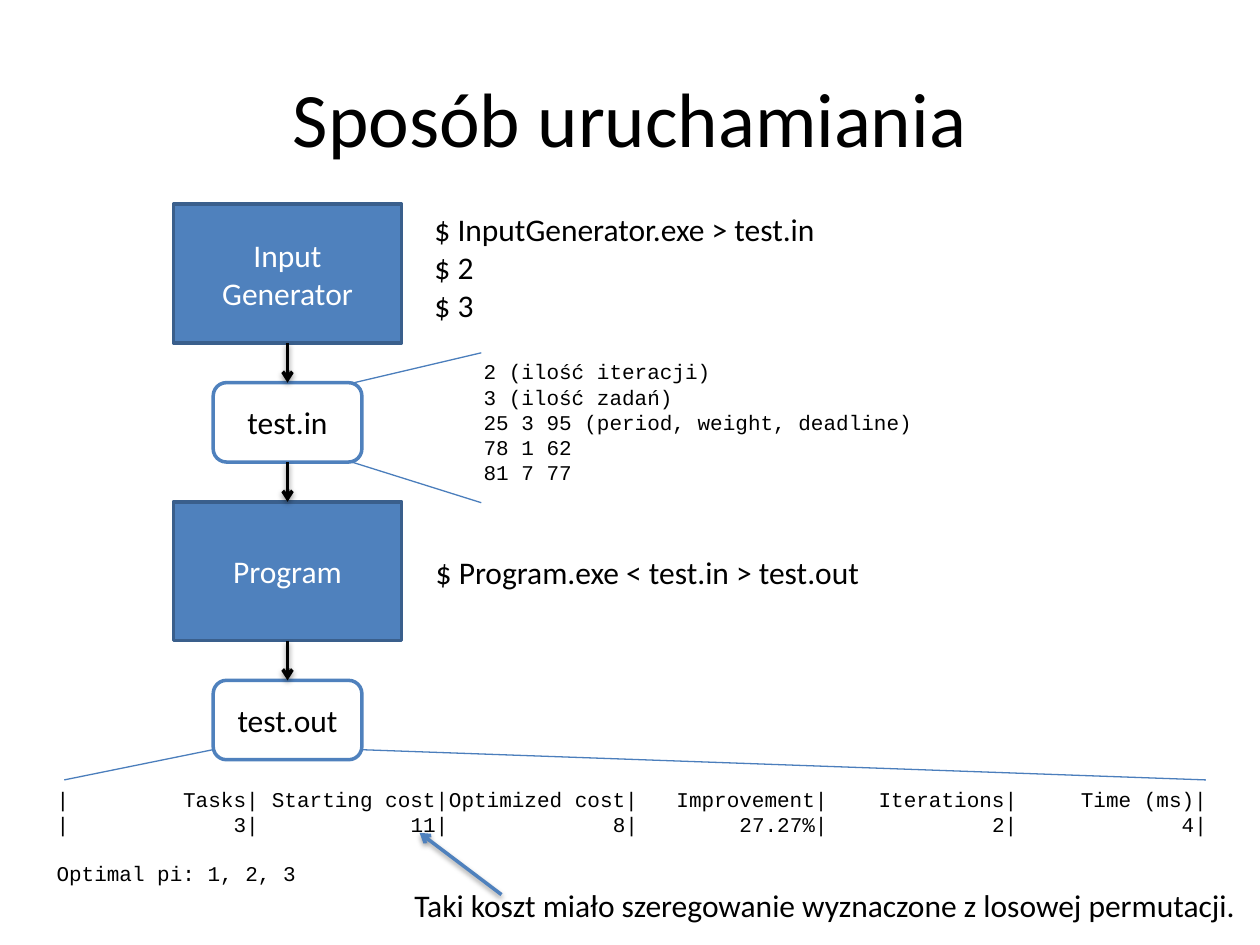
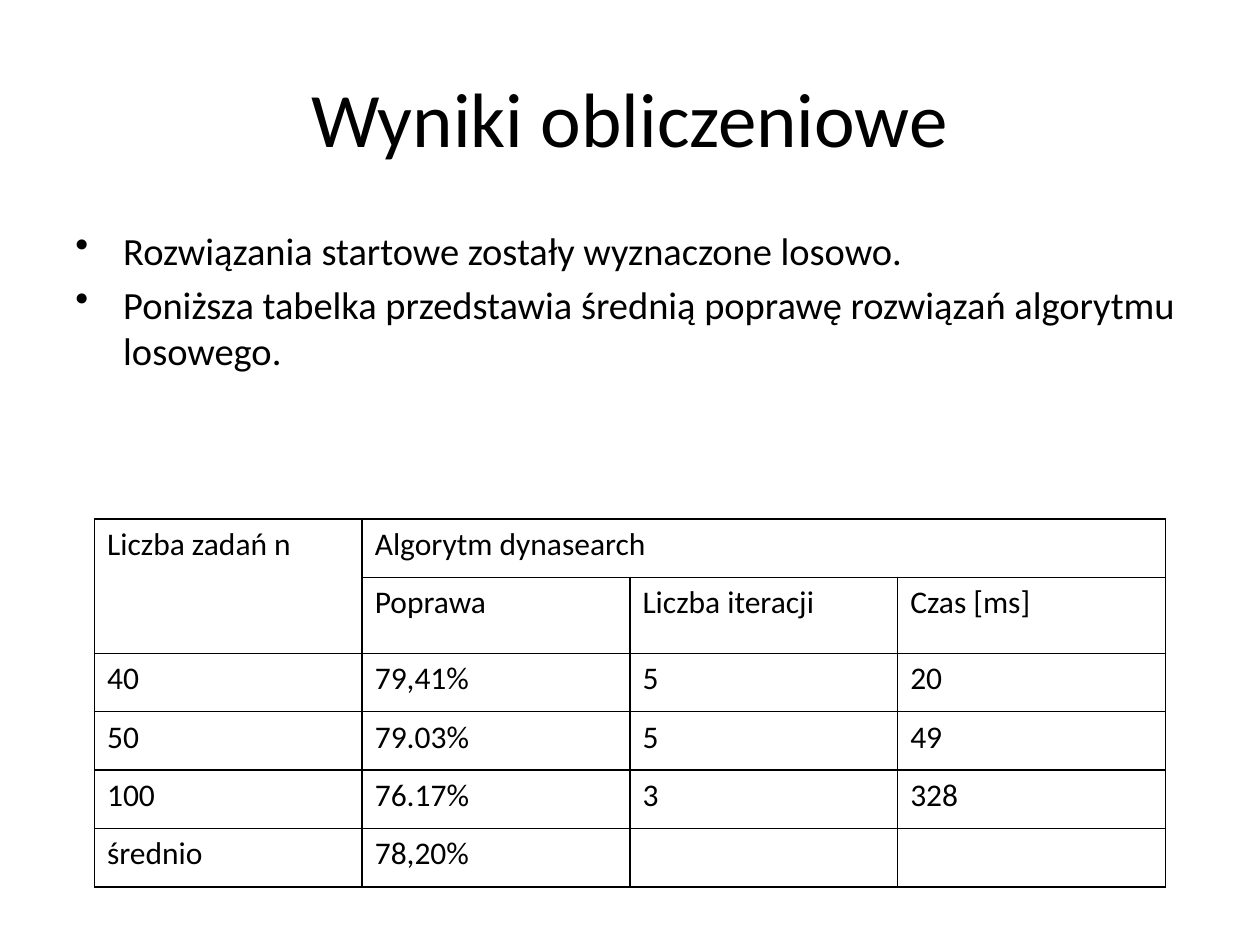
"""Builds two slides on running a task scheduler and on its results."""
from lxml.etree import SubElement
from pptx import Presentation
from pptx.dml.color import RGBColor
from pptx.enum.shapes import MSO_CONNECTOR, MSO_SHAPE
from pptx.enum.text import MSO_ANCHOR, PP_ALIGN
from pptx.oxml import parse_xml
from pptx.oxml.ns import nsdecls, qn
from pptx.util import Inches, Pt

BLACK, WHITE = "000000", "FFFFFF"
BLUE, DARK_BLUE, THIN_BLUE = "4F81BD", "3A5F8C", "4B7EBC"
SANS, MONO = "Calibri", "Courier New"
COLUMNS, ROWS = 100, 75
TOP, LEFT, BOTTOM, RIGHT = range(4)


def color(value):
    return RGBColor.from_string(value)


class Page:
    """Holds the style and the current slide, measured on a 100 by 75 grid."""

    def __init__(self, deck):
        self.deck = deck
        self.cell = deck.slide_width / COLUMNS
        self.slide = None

    def grid(self, *lengths):
        return [round(length * self.cell) for length in lengths]

    def start(self, title):
        self.slide = self.deck.slides.add_slide(self.deck.slide_layouts[6])
        frame = self.text((5, 3, 90, 12.5), [title], size=44, wrap=True,
                          align=PP_ALIGN.CENTER)
        frame.vertical_anchor = MSO_ANCHOR.MIDDLE

    def set_lines(self, frame, lines, size=18, font=SANS, ink=BLACK,
                  align=PP_ALIGN.LEFT):
        for index, line in enumerate(lines):
            para = frame.add_paragraph() if index else frame.paragraphs[0]
            para.text = line
            para.alignment = align
            para.font.size = Pt(size)
            para.font.name = font
            para.font.color.rgb = color(ink)

    def text(self, place, lines, wrap=False, **style):
        frame = self.slide.shapes.add_textbox(*self.grid(*place)).text_frame
        frame.word_wrap = wrap
        self.set_lines(frame, lines, **style)
        return frame

    def box(self, preset, place, label, fill, line, ink):
        box = self.slide.shapes.add_shape(preset, *self.grid(*place))
        box.shadow.inherit = False
        box.fill.solid()
        box.fill.fore_color.rgb = color(fill)
        box.line.color.rgb = color(line)
        box.line.width = Pt(2)
        box.text_frame.vertical_anchor = MSO_ANCHOR.MIDDLE
        self.set_lines(box.text_frame, [label], ink=ink, align=PP_ALIGN.CENTER)
        return box

    def line(self, start, end, ink=THIN_BLUE, width=0.75):
        line = self.slide.shapes.add_connector(
            MSO_CONNECTOR.STRAIGHT, *self.grid(*start, *end))
        line.line.color.rgb = color(ink)
        line.line.width = Pt(width)
        SubElement(line._element.spPr, qn("a:effectLst"))
        return line

    def arrow(self, start, end, ink=BLACK):
        arrow = self.line(start, end, ink, 2)
        properties = arrow._element.spPr
        SubElement(properties.find(qn("a:ln")), qn("a:tailEnd"), type="arrow")
        properties.find(qn("a:effectLst")).append(parse_xml(
            f'<a:outerShdw {nsdecls("a")} blurRad="{Pt(3.1)}" dist="{Pt(1.6)}" '
            f'dir="5400000" rotWithShape="0"><a:srgbClr val="{BLACK}">'
            '<a:alpha val="38000"/></a:srgbClr></a:outerShdw>'))
        return arrow

    def join(self, upper, lower):
        arrow = self.arrow((0, 0), (0, 0))
        arrow.begin_connect(upper, BOTTOM)
        arrow.end_connect(lower, TOP)

    def bullets(self, place, lines, size):
        frame = self.text(place, lines, wrap=True, size=size)
        for para in frame.paragraphs:
            para.space_before = Pt(size * 0.2)
            properties = para._p.get_or_add_pPr()
            properties.set("marL", str(Inches(0.38)))
            properties.set("indent", str(-Inches(0.38)))
            mark = parse_xml(f'<a:buChar {nsdecls("a")} char="•"/>')
            properties.find(qn("a:defRPr")).addprevious(mark)

    def tabs(self, para, stops):
        stop_list = parse_xml(f'<a:tabLst {nsdecls("a")}/>')
        for stop in stops:
            SubElement(stop_list, qn("a:tab"), pos=str(Inches(stop)), algn="r")
        para._p.get_or_add_pPr().find(qn("a:defRPr")).addprevious(stop_list)

    def table(self, place, rows, heights, merges):
        table = self.slide.shapes.add_table(
            len(rows), len(rows[0]), *self.grid(*place)).table
        table.first_row = table.horz_banding = False
        for row, height in zip(table.rows, heights):
            row.height, = self.grid(height)
        for row_index, row in enumerate(rows):
            for column_index, value in enumerate(row):
                cell = table.cell(row_index, column_index)
                self.set_lines(cell.text_frame, [value])
                cell.fill.background()
                self.border(cell)
        for first, last in merges:
            table.cell(*first).merge(table.cell(*last))

    def border(self, cell):
        properties = cell._tc.get_or_add_tcPr()
        for index, side in enumerate(("lnL", "lnR", "lnT", "lnB")):
            properties.insert(index, parse_xml(
                f'<a:{side} {nsdecls("a")} w="{Pt(1)}"><a:solidFill>'
                f'<a:srgbClr val="{BLACK}"/></a:solidFill></a:{side}>'))


def build_usage(page):
    page.start("Sposób uruchamiania")
    axis, top, gap = 22.82, 16.2, 3.15
    steps = []
    for label, is_file in (("Input Generator", False), ("test.in", True),
                           ("Program", False), ("test.out", True)):
        if is_file:
            preset, width, height = MSO_SHAPE.ROUNDED_RECTANGLE, 11.8, 2 * gap
            colors = WHITE, BLUE, BLACK
        else:
            preset, width, height = MSO_SHAPE.RECTANGLE, 18.1, 3.5 * gap
            colors = BLUE, DARK_BLUE, WHITE
        place = axis - width / 2, top, width, height
        steps.append(page.box(preset, place, label, *colors))
        top += height + gap
    for upper, lower in zip(steps, steps[1:]):
        page.join(upper, lower)

    page.text((33.5, 16.2, 32.6, 10.1),
              ["$ InputGenerator.exe > test.in", "$ 2", "$ 3"])
    page.text((37.4, 28, 36.6, 11.1),
              ["2 (ilość iteracji)", "3 (ilość zadań)",
               "25 3 95 (period, weight, deadline)", "78 1 62", "81 7 77"],
              size=12, font=MONO)
    page.text((33.6, 43.4, 36, 4), ["$ Program.exe < test.in > test.out"])

    report = [("Tasks", "Starting cost", "Optimized cost", "Improvement",
               "Iterations", "Time (ms)"),
              ("3", "11", "8", "27.27%", "2", "4")]
    lines = ["|" + "".join(f"\t{value}|" for value in row) for row in report]
    frame = page.text((3.5, 61.9, 94.5, 9.1), lines + ["Optimal pi: 1, 2, 3"],
                      wrap=True, size=12, font=MONO)
    for para in frame.paragraphs[:2]:
        page.tabs(para, [0.1 + 1.505 * count for count in range(1, 7)])
    frame.paragraphs[2].space_before = Pt(13.6)

    for start, end in (((28, 30.4), (38.2, 28)), ((28, 36.7), (38.2, 39.9)),
                       ((16.9, 59.5), (5.1, 61.9)), ((28.7, 59.5), (95.7, 61.9))):
        page.line(start, end)
    page.arrow((39.8, 71), (33.3, 66.1), BLUE)
    page.text((31.9, 69.8, 67.3, 4),
              ["Taki koszt miało szeregowanie wyznaczone z losowej permutacji."])


def build_results(page):
    page.start("Wyniki obliczeniowe")
    page.bullets((5, 17.5, 90, 22.4), [
        "Rozwiązania startowe zostały wyznaczone losowo.",
        "Poniższa tabelka przedstawia średnią poprawę rozwiązań algorytmu losowego.",
    ], 22)
    page.table((7.5, 41.2, 85, 29.2), [
        ("Liczba zadań n", "Algorytm dynasearch", "", ""),
        ("", "Poprawa", "Liczba iteracji", "Czas [ms]"),
        ("40", "79,41%", "5", "20"),
        ("50", "79.03%", "5", "49"),
        ("100", "76.17%", "3", "328"),
        ("średnio", "78,20%", "", ""),
    ], [4.63, 6.03] + [4.63] * 4, [((0, 0), (1, 0)), ((0, 1), (0, 3))])


def main():
    deck = Presentation()
    deck.slide_width, deck.slide_height = Inches(10), Inches(ROWS / 10)
    page = Page(deck)
    build_usage(page)
    build_results(page)
    deck.save("out.pptx")


if __name__ == "__main__":
    main()
